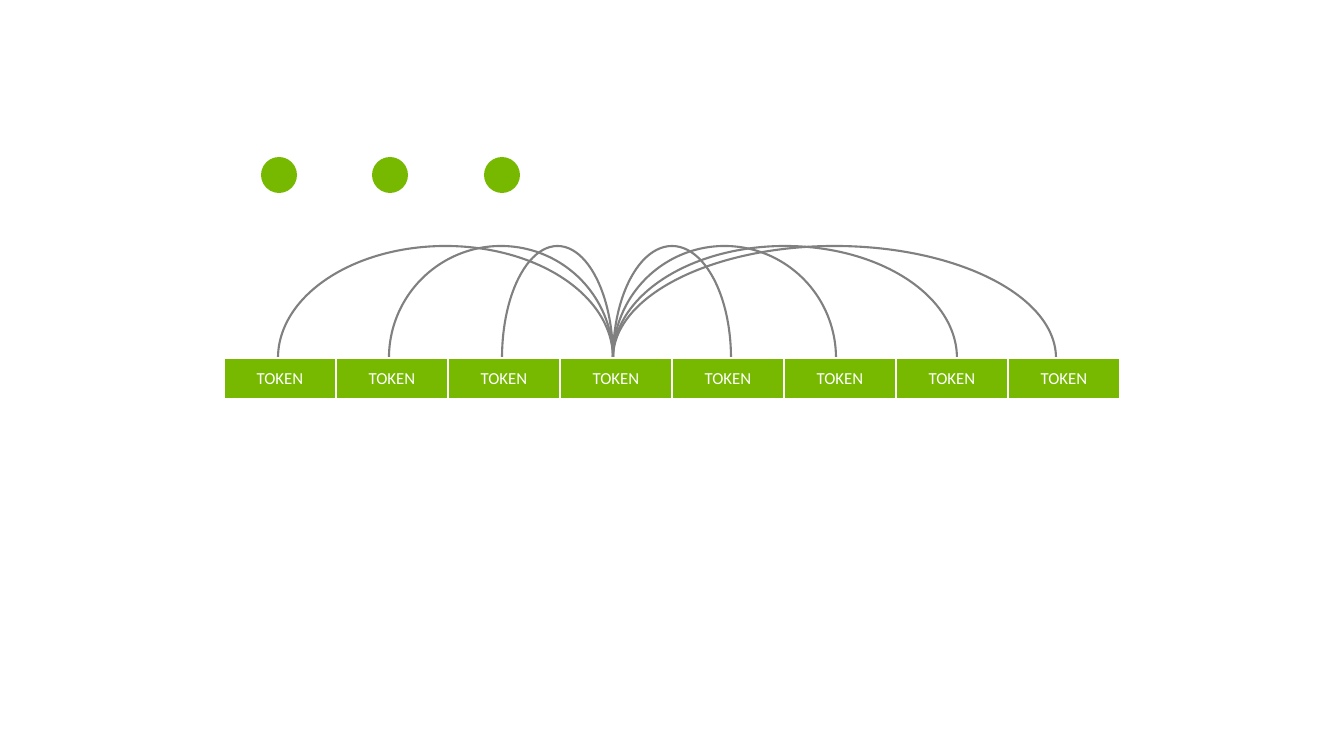
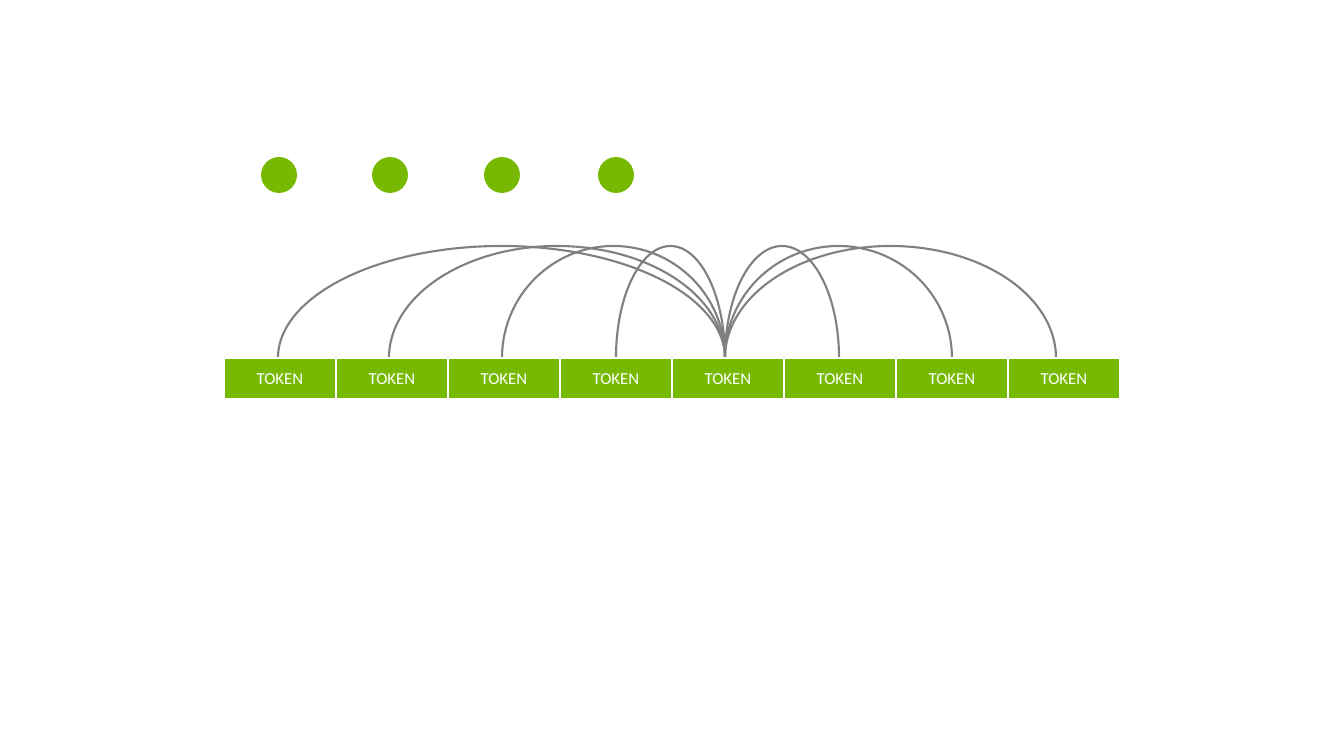
from lxml.etree import SubElement
from pptx import Presentation
from pptx.dml.color import RGBColor
from pptx.enum.shapes import MSO_SHAPE as Preset
from pptx.enum.text import MSO_ANCHOR as Anchor, PP_ALIGN as Align
from pptx.oxml.ns import qn
from pptx.util import Pt

COLORS = {"green": "76B900", "gray": "808080", "white": "FFFFFF"}
TOKENS = ["TOKEN"] * 8
# focus: index of the attending token; feet: x of each token's arc end
SLIDES = [
    {"focus": 3, "feet": [278, 389, 502, 613, 731, 836, 957, 1056]},
    {"focus": 4, "feet": [278, 389, 502, 616, 725, 839, 952, 1056]},
]
DOT_CENTERS = [279, 390, 502, 616]

SCALE = 12192000 / 1344
WIDTH, HEIGHT = 1344, 756
ARC_TOP, ARC_HEIGHT = 246, 224
DOT_TOP, DOT_SIZE = 157, 36
TABLE_LEFT, TABLE_TOP, CELL_WIDTH, CELL_HEIGHT = 224, 358, 112, 41
HALF_CIRCLE = (108, 0)  # 180 to 0 degrees, in units of 100000
TOKEN_FONT = {"name": "Calibri", "size": Pt(12), "bold": False}


def px(length):
    """Turn pixels into EMU."""
    return round(length * SCALE)


def color(name):
    """Look up a named colour."""
    return RGBColor.from_string(COLORS[name])


def add_preset(slide, preset, *box):
    """Add a preset shape without a shadow."""
    shape = slide.shapes.add_shape(preset, *map(px, box))
    shape.shadow.inherit = False
    return shape


def add_arc(slide, start, end):
    """Join two x positions by the upper half of an ellipse."""
    arc = add_preset(slide, Preset.ARC, min(start, end), ARC_TOP,
                     abs(end - start), ARC_HEIGHT)
    for index, angle in enumerate(HALF_CIRCLE):
        arc.adjustments[index] = angle
    arc.fill.background()
    arc.line.color.rgb = color("gray")
    arc.line.width = Pt(1.5)


def add_dot(slide, center):
    """Mark one earlier token with a green dot."""
    dot = add_preset(slide, Preset.OVAL, center - DOT_SIZE / 2, DOT_TOP,
                     DOT_SIZE, DOT_SIZE)
    dot.fill.solid()
    dot.fill.fore_color.rgb = color("green")
    dot.line.fill.background()


def add_borders(cell):
    """Draw white 1 pt lines around a cell."""
    properties = cell._tc.get_or_add_tcPr()
    for position, side in enumerate(("lnL", "lnR", "lnT", "lnB")):
        border = SubElement(properties, qn(f"a:{side}"), w=str(Pt(1)))
        fill = SubElement(border, qn("a:solidFill"))
        SubElement(fill, qn("a:srgbClr"), val=COLORS["white"])
        properties.insert(position, border)


def add_tokens(slide):
    """Add the row of token cells."""
    table = slide.shapes.add_table(
        1, len(TOKENS), px(TABLE_LEFT), px(TABLE_TOP),
        px(CELL_WIDTH * len(TOKENS)), px(CELL_HEIGHT)).table
    for cell, token in zip(table.rows[0].cells, TOKENS):
        cell.text = token
        cell.vertical_anchor = Anchor.MIDDLE
        cell.fill.solid()
        cell.fill.fore_color.rgb = color("green")
        add_borders(cell)
        paragraph = cell.text_frame.paragraphs[0]
        paragraph.alignment = Align.CENTER
        font = paragraph.runs[0].font
        for attribute, value in TOKEN_FONT.items():
            setattr(font, attribute, value)
        font.color.rgb = color("white")


def build_slide(deck, focus, feet):
    """Show the arcs from one token and the dots of those before it."""
    slide = deck.slides.add_slide(deck.slide_layouts[6])
    for index, foot in enumerate(feet):
        if index != focus:
            add_arc(slide, feet[focus], foot)
    for center in DOT_CENTERS[:focus]:
        add_dot(slide, center)
    add_tokens(slide)


deck = Presentation()
deck.slide_width, deck.slide_height = px(WIDTH), px(HEIGHT)
for content in SLIDES:
    build_slide(deck, **content)
deck.save("out.pptx")
